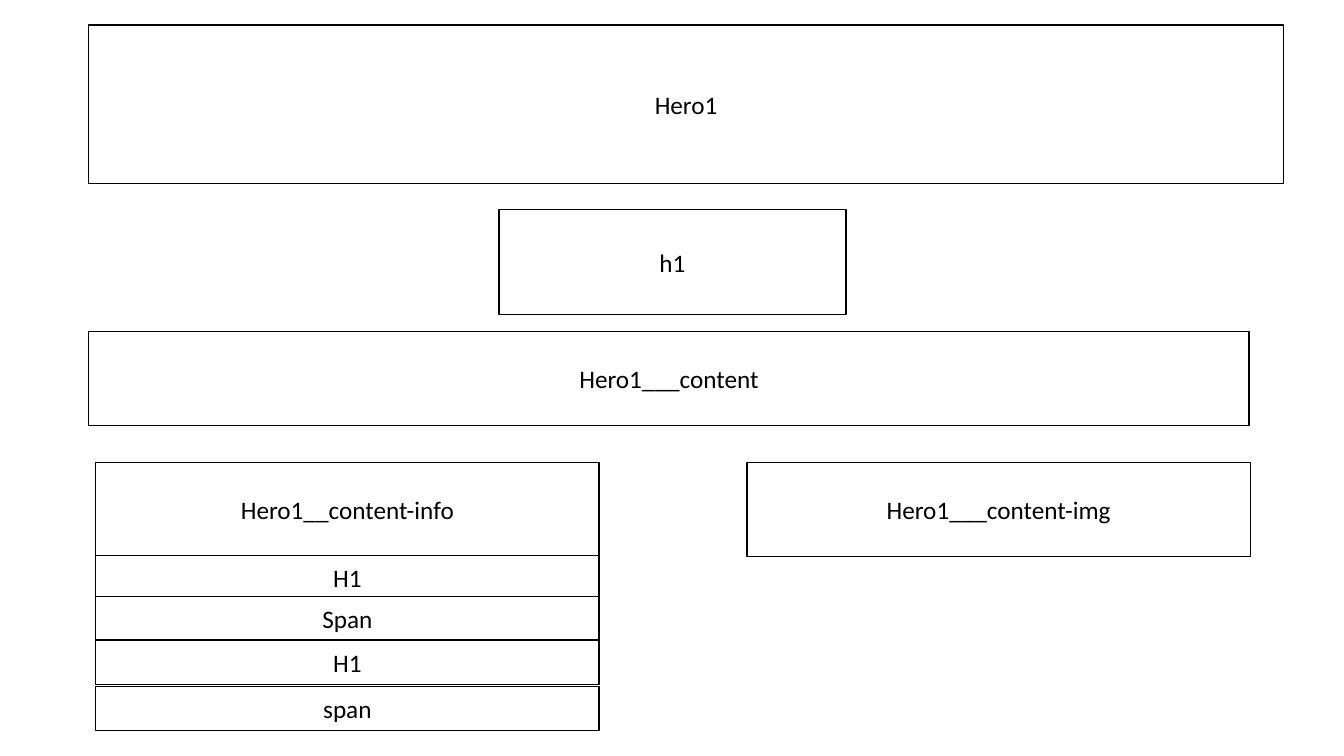
from dataclasses import dataclass

from pptx import Presentation, util as u
from pptx.dml.color import RGBColor
from pptx.enum import shapes, text

PX = 9144  # EMU per px, 100 px to the inch
COLORS = {"fill": "FFFFFF", "ink": "000000"}
FONT = {"name": "Calibri", "size": u.Pt(18)}
FRAME = {"word_wrap": True, "vertical_anchor": text.MSO_ANCHOR.MIDDLE}


@dataclass(frozen=True)
class Box:
    label: str
    left: int
    top: int
    width: int
    height: int


# Page blocks
LEFT, HALF, ROW = 95, 499, 44
BLOCKS = [
    Box("Hero1", 88, 25, 1185, 157),
    Box("h1", 495, 208, 344, 104),
    Box("Hero1___content", 88, 329, 1151, 93),
    Box("Hero1__content-info", LEFT, 459, HALF, 93),
    Box("Hero1___content-img", 741, 459, HALF, 93),
]

# Rows stacked under the info block
ROWS = [
    Box(label, LEFT, top, HALF, ROW)
    for label, top in [("H1", 551), ("Span", 592), ("H1", 635), ("span", 681)]
]


def color(key: str) -> RGBColor:
    return RGBColor.from_string(COLORS[key])


def draw(slide, box: Box) -> None:
    sides = (box.left, box.top, box.width, box.height)
    rect = slide.shapes.add_shape(
        shapes.MSO_SHAPE.RECTANGLE, *(u.Emu(side * PX) for side in sides)
    )
    rect.shadow.inherit = False
    rect.fill.solid()
    rect.fill.fore_color.rgb = color("fill")
    rect.line.color.rgb = color("ink")
    rect.line.width = u.Pt(1)

    # Centred label
    frame = rect.text_frame
    para = frame.paragraphs[0]
    para.alignment = text.PP_ALIGN.CENTER
    run = para.add_run()
    run.text = box.label
    run.font.color.rgb = color("ink")
    for target, values in ((frame, FRAME), (run.font, FONT)):
        for name, value in values.items():
            setattr(target, name, value)


def main() -> None:
    deck = Presentation()
    deck.slide_width, deck.slide_height = u.Emu(1333 * PX), u.Emu(750 * PX)
    slide = deck.slides.add_slide(deck.slide_layouts.get_by_name("Blank"))
    for box in BLOCKS + ROWS:
        draw(slide, box)
    deck.save("out.pptx")


if __name__ == "__main__":
    main()
